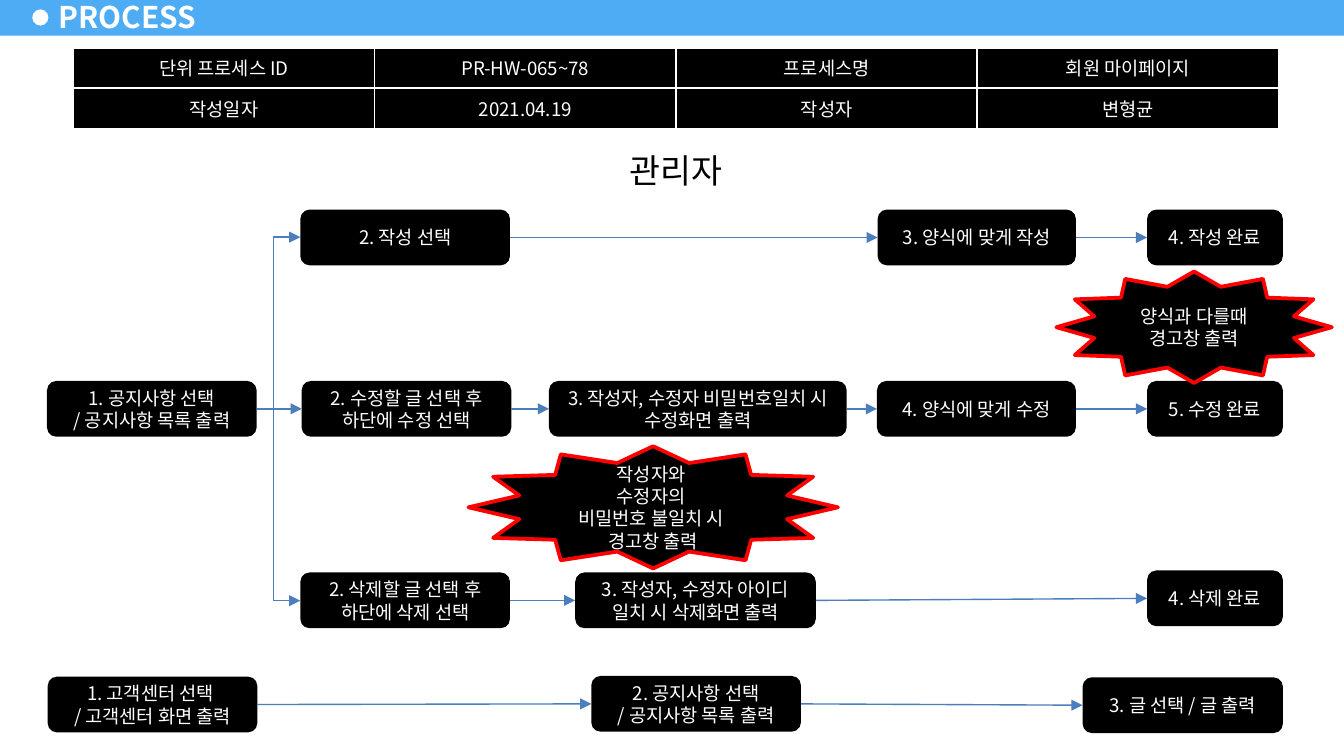
from dataclasses import dataclass

from lxml import etree
from pptx import Presentation
from pptx import util as u
from pptx.dml.color import RGBColor
from pptx.enum import shapes, text
from pptx.oxml import ns

PX = u.Inches(1) // 200
FONT = "Noto Sans CJK KR"
COLORS = {"bar": "4DACF3", "box": "000000", "paper": "FFFFFF",
          "alert": "FF0000", "arrow": "4B7EBC"}
STEP_HEIGHT = 83


@dataclass(frozen=True)
class Step:
    key: str
    left: int
    top: int
    width: int
    lines: tuple[str, ...]


@dataclass(frozen=True)
class Alert:
    left: int
    top: int
    width: int
    height: int
    lines: tuple[str, ...]


STEPS = (
    Step("write", 447, 312, 312, ("2. 작성 선택",)),
    Step("write_form", 1306, 312, 295, ("3. 양식에 맞게 작성",)),
    Step("write_done", 1707, 312, 202, ("4. 작성 완료",)),
    Step("notice", 70, 567, 312, ("1. 공지사항 선택", "/ 공지사항 목록 출력")),
    Step("edit", 449, 567, 312, ("2. 수정할 글 선택 후", "하단에 수정 선택")),
    Step("edit_check", 817, 567, 443, ("3. 작성자, 수정자 비밀번호일치 시 수정화면 출력",)),
    Step("edit_form", 1305, 567, 296, ("4. 양식에 맞게 수정",)),
    Step("edit_done", 1707, 567, 202, ("5. 수정 완료",)),
    Step("delete", 447, 852, 312, ("2. 삭제할 글 선택 후", "하단에 삭제 선택")),
    Step("delete_check", 856, 852, 358, ("3. 작성자, 수정자 아이디 일치 시 삭제화면 출력",)),
    Step("delete_done", 1707, 849, 202, ("4. 삭제 완료",)),
    Step("support", 71, 1007, 312, ("1. 고객센터 선택 ", "/ 고객센터 화면 출력")),
    Step("support_notice", 880, 1006, 312, ("2. 공지사항 선택", "/ 공지사항 목록 출력")),
    Step("support_post", 1611, 1008, 298, ("3. 글 선택 / 글 출력",)),
)
ALERTS = (
    Alert(1572, 404, 410, 166, ("양식과 다를때", "경고창 출력")),
    Alert(697, 664, 550, 182, ("작성자와 ", "수정자의 ", "비밀번호 불일치 시 ", "경고창 출력")),
)
FLOWS = (
    ("write", "write_form", "write_done"),
    ("notice", "edit", "edit_check", "edit_form", "edit_done"),
    ("delete", "delete_check", "delete_done"),
    ("support", "support_notice", "support_post"),
)
BRANCH_START = (407, 608)
BRANCH_ENDS = ((447, 353), (447, 894))
SUMMARY = (
    ("단위 프로세스 ID", "PR-HW-065~78", "프로세스명", "회원 마이페이지"),
    ("작성일자", "2021.04.19", "작성자", "변형균"),
)


def rgb(name: str) -> RGBColor:
    return RGBColor.from_string(COLORS[name])


def px(*lengths: int) -> list[int]:
    return [length * PX for length in lengths]


def add_run(paragraph, words: str, size: int = 10, color: str = "paper", bold: bool = False) -> None:
    run = paragraph.add_run()
    run.text = words
    run.font.size = u.Pt(size)
    run.font.bold = bold
    run.font.color.rgb = rgb(color)
    run.font.name = FONT
    etree.SubElement(run.font._element, ns.qn("a:ea"), typeface=FONT)


def add_block(slide, preset, left: int, top: int, width: int, height: int, fill: str):
    block = slide.shapes.add_shape(preset, *px(left, top, width, height))
    block.shadow.inherit = False
    block.fill.solid()
    block.fill.fore_color.rgb = rgb(fill)
    block.line.fill.background()
    block.text_frame.word_wrap = True
    block.text_frame.vertical_anchor = text.MSO_ANCHOR.MIDDLE
    block.text_frame.paragraphs[0].alignment = text.PP_ALIGN.CENTER
    return block


def add_header(slide) -> None:
    title = slide.shapes.title
    bar = add_block(slide, shapes.MSO_SHAPE.RECTANGLE, 0, -4, 2000, 57, "bar")
    dot = add_block(slide, shapes.MSO_SHAPE.OVAL, 48, 14, 24, 24, "paper")
    for backdrop in (bar, dot):
        title._element.addprevious(backdrop._element)
    title.left, title.top, title.width, title.height = px(69, -8, 244, 64)
    frame = title.text_frame
    frame.word_wrap = False
    frame.auto_size = text.MSO_AUTO_SIZE.NONE
    frame.vertical_anchor = text.MSO_ANCHOR.MIDDLE
    frame.margin_left, frame.margin_top, frame.margin_right, frame.margin_bottom = px(18, 8, 18, 8)
    frame.paragraphs[0].alignment = text.PP_ALIGN.LEFT
    add_run(frame.paragraphs[0], "PROCESS", 16, bold=True)


def add_role(slide) -> None:
    role = add_block(slide, shapes.MSO_SHAPE.RECTANGLE, 649, 214, 714, 80, "paper")
    role.text_frame.vertical_anchor = text.MSO_ANCHOR.TOP
    add_run(role.text_frame.paragraphs[0], "관리자", 18, "box")


def add_step(slide, step: Step):
    box = add_block(slide, shapes.MSO_SHAPE.ROUNDED_RECTANGLE,
                    step.left, step.top, step.width, STEP_HEIGHT, "box")
    frame = box.text_frame
    for index, line in enumerate(step.lines):
        paragraph = frame.add_paragraph() if index else frame.paragraphs[0]
        paragraph.alignment = text.PP_ALIGN.CENTER
        add_run(paragraph, line)
    return box


def add_alert(slide, alert: Alert) -> None:
    star = add_block(slide, shapes.MSO_SHAPE.STAR_12_POINT,
                     alert.left, alert.top, alert.width, alert.height, "box")
    star.line.color.rgb = rgb("alert")
    star.line.width = u.Pt(2)
    paragraph = star.text_frame.paragraphs[0]
    for index, line in enumerate(alert.lines):
        if index:
            paragraph.add_line_break()
        add_run(paragraph, line)


def add_arrow(slide, kind, start: tuple[int, int], end: tuple[int, int]):
    arrow = slide.shapes.add_connector(kind, *px(*start, *end))
    arrow.line.color.rgb = rgb("arrow")
    arrow.line.width = u.Pt(0.75)
    etree.SubElement(arrow.line._get_or_add_ln(), ns.qn("a:tailEnd"), type="triangle")
    etree.SubElement(arrow._element.spPr, ns.qn("a:effectLst"))
    return arrow


def add_branch(slide, end: tuple[int, int]) -> None:
    branch = add_arrow(slide, shapes.MSO_CONNECTOR.ELBOW, BRANCH_START, end)
    guides = branch._element.spPr.find(ns.qn("a:prstGeom")).find(ns.qn("a:avLst"))
    etree.SubElement(guides, ns.qn("a:gd"), name="adj1", fmla="val 0")


def add_link(slide, source, target) -> None:
    link = add_arrow(slide, shapes.MSO_CONNECTOR.STRAIGHT, (0, 0), (0, 0))
    link.begin_connect(source, 3)
    link.end_connect(target, 1)


def add_borders(cell) -> None:
    properties = cell._tc.get_or_add_tcPr()
    for position, side in enumerate(("lnL", "lnR", "lnT", "lnB")):
        border = etree.Element(ns.qn(f"a:{side}"), w=str(u.Pt(1)))
        fill = etree.SubElement(border, ns.qn("a:solidFill"))
        etree.SubElement(fill, ns.qn("a:srgbClr"), val=COLORS["paper"])
        properties.insert(position, border)


def add_summary(slide) -> None:
    table = slide.shapes.add_table(2, 4, *px(109, 71, 1794, 112)).table
    table.first_row = table.horz_banding = False
    for row, labels in zip(table.rows, SUMMARY):
        for cell, label in zip(row.cells, labels):
            cell.fill.solid()
            cell.fill.fore_color.rgb = rgb("box")
            cell.vertical_anchor = text.MSO_ANCHOR.MIDDLE
            paragraph = cell.text_frame.paragraphs[0]
            paragraph.alignment = text.PP_ALIGN.CENTER
            add_run(paragraph, label)
            add_borders(cell)


def main() -> None:
    deck = Presentation()
    deck.slide_width, deck.slide_height = px(2000, 1125)
    slide = deck.slides.add_slide(deck.slide_layouts[5])
    add_header(slide)
    add_role(slide)
    boxes = {step.key: add_step(slide, step) for step in STEPS}
    for alert in ALERTS:
        add_alert(slide, alert)
    for flow in FLOWS:
        for source, target in zip(flow, flow[1:]):
            add_link(slide, boxes[source], boxes[target])
    for end in BRANCH_ENDS:
        add_branch(slide, end)
    add_summary(slide)
    deck.save("out.pptx")


if __name__ == "__main__":
    main()
